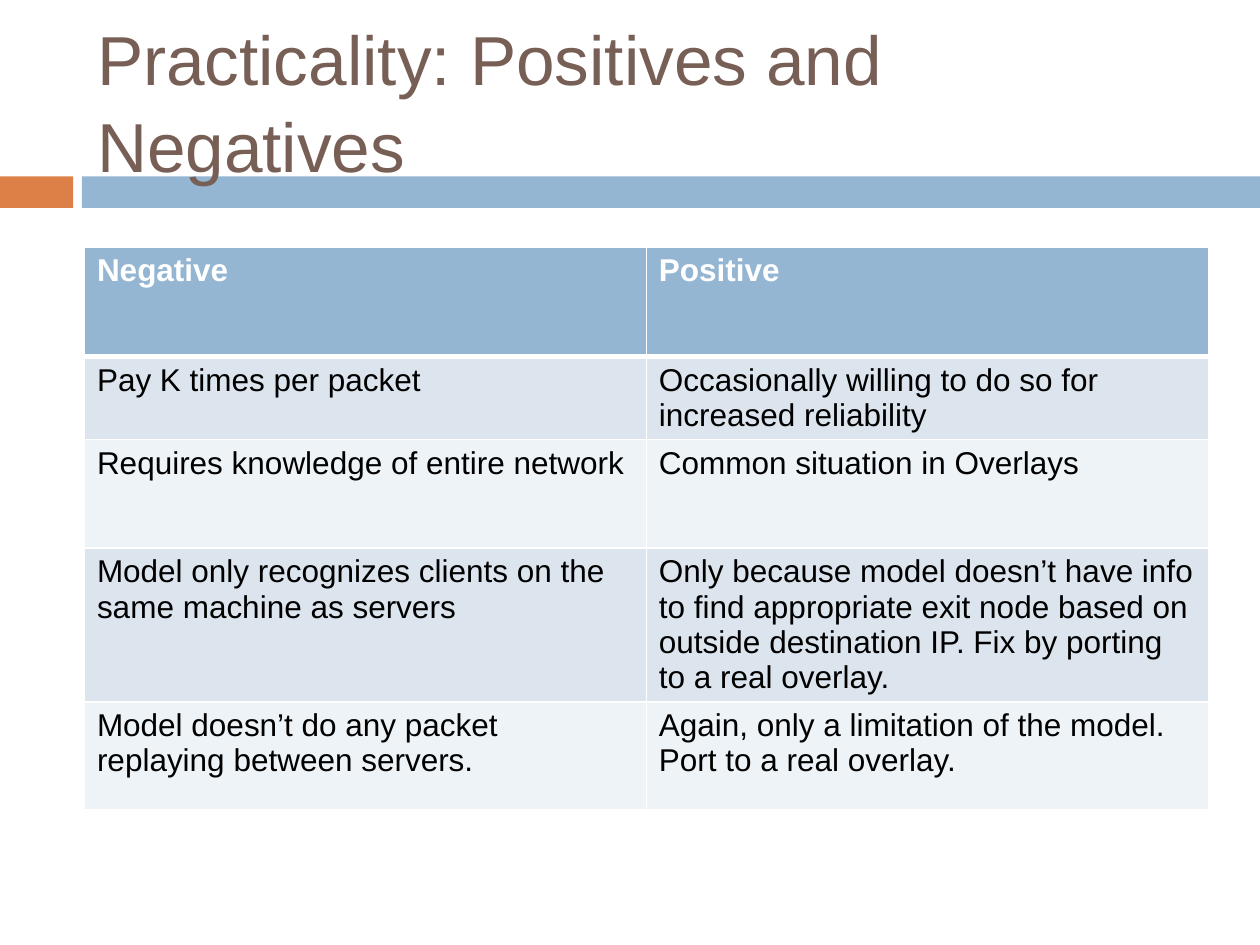
from lxml import etree
from pptx import Presentation
from pptx.dml.color import RGBColor
from pptx.enum.shapes import MSO_SHAPE
from pptx.enum.text import MSO_ANCHOR, MSO_AUTO_SIZE, PP_ALIGN
from pptx.oxml.ns import qn
from pptx.util import Inches, Pt

RECT = MSO_SHAPE.RECTANGLE
MIDDLE = MSO_ANCHOR.MIDDLE
LEFT = PP_ALIGN.LEFT
NO_FIT = MSO_AUTO_SIZE.NONE

ORANGE = RGBColor(0xDD, 0x80, 0x47)
BLUE = RGBColor(0x94, 0xB6, 0xD2)
BROWN = RGBColor(0x77, 0x5F, 0x55)
PALE = RGBColor(0xDC, 0xE5, 0xEE)
LIGHT = RGBColor(0xEE, 0xF3, 0xF7)
WHITE = RGBColor(0xFF, 0xFF, 0xFF)
BLACK = RGBColor(0, 0, 0)

TITLE = "Practicality: Positives and Negatives"
ROWS = [
    ("Negative", "Positive"),
    ("Pay K times per packet",
     "Occasionally willing to do so for increased reliability"),
    ("Requires knowledge of entire network", "Common situation in Overlays"),
    ("Model only recognizes clients on the same machine as servers",
     "Only because model doesn’t have info to find appropriate exit node "
     "based on outside destination IP. Fix by porting to a real overlay."),
    ("Model doesn’t do any packet replaying between servers.",
     "Again, only a limitation of the model. Port to a real overlay."),
]
HEIGHTS = [0.87, 0.39, 0.86, 0.86, 0.86]
BARS = [(0, 0.58, ORANGE), (0.65, 9.35, BLUE)]
EDGE, WIDE = 0.67, 8.92


def style(par, size, color, bold=False):
    par.alignment = LEFT
    look = {"name": "Arial", "size": Pt(size), "bold": bold}
    for run in par.runs:
        for key, value in look.items():
            setattr(run.font, key, value)
        run.font.color.rgb = color


def border(cell, top, base):
    """Draw white cell edges; top and base are widths in points."""
    props = cell._tc.get_or_add_tcPr()
    for side, width in zip("LRTB", (1, 1, top, base)):
        line = etree.SubElement(props, qn(f"a:ln{side}"), w=str(Pt(width)))
        fill = etree.SubElement(line, qn("a:solidFill"))
        etree.SubElement(fill, qn("a:srgbClr"), val=str(WHITE))


def add_bars(slide):
    for left, width, color in BARS:
        bar = slide.shapes.add_shape(
            RECT, Inches(left), Inches(1.4), Inches(width), Inches(0.25))
        bar.shadow.inherit = False
        bar.fill.solid()
        bar.fill.fore_color.rgb = color
        bar.line.fill.background()


def add_title(slide):
    title = slide.shapes.title
    title.left, title.top = Inches(EDGE), Inches(0.25)
    title.width, title.height = Inches(WIDE), Inches(1.08)
    frame = title.text_frame
    frame.text = TITLE
    frame.word_wrap = True
    frame.auto_size = NO_FIT
    frame.vertical_anchor = MIDDLE
    par = frame.paragraphs[0]
    par.line_spacing = 1.05
    style(par, 39.6, BROWN)
    # Bring the title in front of the bars
    slide.shapes._spTree.append(title._element)


def add_grid(slide):
    cols = len(ROWS[0])
    table = slide.shapes.add_table(
        len(ROWS), cols, Inches(EDGE), Inches(1.96),
        Inches(WIDE), Inches(sum(HEIGHTS))).table
    for col in table.columns:
        col.width = Inches(WIDE / cols)
    for r, (texts, height) in enumerate(zip(ROWS, HEIGHTS)):
        table.rows[r].height = Inches(height)
        head = r == 0
        shade = BLUE if head else (LIGHT, PALE)[r % 2]
        for c, text in enumerate(texts):
            cell = table.cell(r, c)
            cell.text = text
            style(cell.text_frame.paragraphs[0], 18,
                  WHITE if head else BLACK, head)
            border(cell, 3 if r == 1 else 1, 3 if head else 1)
            cell.fill.solid()
            cell.fill.fore_color.rgb = shade


def main():
    deck = Presentation()
    deck.slide_width, deck.slide_height = Inches(10), Inches(7.5)
    slide = deck.slides.add_slide(deck.slide_layouts[5])
    add_bars(slide)
    add_title(slide)
    add_grid(slide)
    deck.save("out.pptx")


if __name__ == "__main__":
    main()
